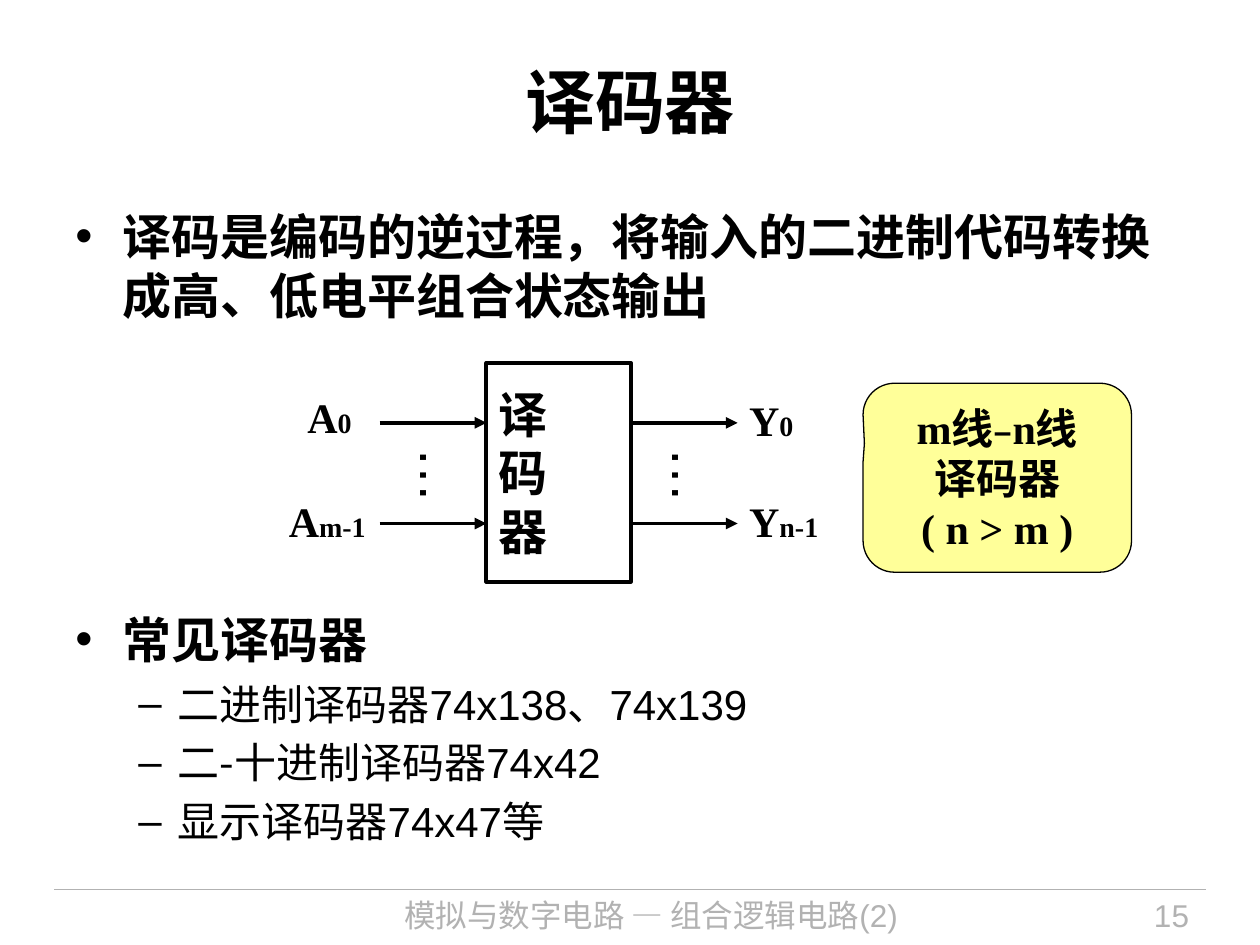
from lxml.etree import SubElement
from pptx import Presentation
from pptx.dml.color import RGBColor
from pptx.enum.shapes import MSO_CONNECTOR, MSO_SHAPE
from pptx.enum.text import MSO_ANCHOR, MSO_AUTO_SIZE, PP_ALIGN
from pptx.oxml.ns import qn
from pptx.util import Pt

BLACK, GREY, YELLOW = "000000", "B2B2B2", "FFFF99"
SANS, SERIF, CJK = "Arial", "Times New Roman", "Noto Sans CJK KR"
LEFT, CENTER, RIGHT = PP_ALIGN.LEFT, PP_ALIGN.CENTER, PP_ALIGN.RIGHT


def color(hex_string):
    return RGBColor.from_string(hex_string)


def style(font, size, name=SANS, bold=False, ink=BLACK):
    font.size, font.name, font.bold = Pt(size), name, bold
    font.color.rgb = color(ink)


def set_frame(shape, wrap=True, anchor=MSO_ANCHOR.TOP, margins=None, grow=False):
    frame = shape.text_frame
    frame.word_wrap, frame.vertical_anchor = wrap, anchor
    frame.auto_size = MSO_AUTO_SIZE.SHAPE_TO_FIT_TEXT if grow else MSO_AUTO_SIZE.NONE
    if margins:
        frame.margin_left = frame.margin_right = Pt(margins[0])
        frame.margin_top = frame.margin_bottom = Pt(margins[1])
    return frame


def write(frame, lines, align, size, name=SANS, bold=False, ink=BLACK):
    for index, line in enumerate(lines):
        paragraph = frame.add_paragraph() if index else frame.paragraphs[0]
        paragraph.text, paragraph.alignment = line, align
        style(paragraph.font, size, name, bold, ink)


def add_text(slide, box, **options):
    return set_frame(slide.shapes.add_textbox(*map(Pt, box)), **options)


def add_box(slide, kind, box, fill, width):
    shape = slide.shapes.add_shape(kind, *map(Pt, box))
    shape.shadow.inherit = False
    if fill:
        shape.fill.solid()
        shape.fill.fore_color.rgb = color(fill)
    else:
        shape.fill.background()
    shape.line.color.rgb, shape.line.width = color(BLACK), Pt(width)
    return shape


def add_line(slide, x1, x2, y, ink, width, arrow=False):
    line = slide.shapes.add_connector(
        MSO_CONNECTOR.STRAIGHT, Pt(x1), Pt(y), Pt(x2), Pt(y))
    line.line.color.rgb, line.line.width = color(ink), Pt(width)
    if arrow:
        SubElement(line.line._get_or_add_ln(), qn("a:tailEnd"), type="triangle")
    SubElement(line.element.spPr, qn("a:effectLst"))


def add_footer(slide, left, top, width):
    add_line(slide, left, left + width, top, GREY, 0.75)
    for x, box_width, text, align in (
            (148, 386, "模拟与数字电路 — 组合逻辑电路(2)", CENTER),
            (559.5, 96, "15", RIGHT)):
        frame = add_text(slide, (left + x, top, box_width, 32))
        write(frame, [text], align, 18, ink=GREY)


def add_title(slide, box):
    frame = add_text(slide, box, anchor=MSO_ANCHOR.MIDDLE)
    write(frame, ["译码器"], CENTER, 40, bold=True)


def add_body(slide, box):
    frame = add_text(slide, box)
    # Level, space after, runs with their fonts
    items = (
        (0, 163, [("译码是编码的逆过程，将输入的二进制代码转换成高、低电平组合状态输出", SANS)]),
        (0, 5.6, [("常见译码器", SANS)]),
        (1, 4.8, [("二进制译码器74x138、74x139", SANS)]),
        (1, 4.8, [("二", SANS), ("-", CJK), ("十进制译码器74x42", SANS)]),
        (1, 4.8, [("显示译码器74x47等", SANS)]),
    )
    levels = ((28, True, 27, -27, "•"), (24, False, 58.5, -22.5, "–"))
    for index, (level, space, runs) in enumerate(items):
        size, bold, margin, indent, bullet = levels[level]
        paragraph = frame.add_paragraph() if index else frame.paragraphs[0]
        paragraph.level, paragraph.space_after = level, Pt(space)
        for text, name in runs:
            run = paragraph.add_run()
            run.text = text
            style(run.font, size, name, bold)
        properties = paragraph._p.get_or_add_pPr()
        properties.set("marL", str(Pt(margin)))
        properties.set("indent", str(Pt(indent)))
        SubElement(properties, qn("a:buFont"), typeface=SANS)
        SubElement(properties, qn("a:buChar"), char=bullet)


def add_label(slide, box, letter, index):
    frame = add_text(slide, box, wrap=False, grow=True)
    for text, size in ((letter, 24), (index, 16)):
        run = frame.paragraphs[0].add_run()
        run.text = text
        style(run.font, size, SERIF, True)


def add_dots(slide, box):
    shape = slide.shapes.add_textbox(*map(Pt, box))
    frame = set_frame(shape, wrap=False, margins=(0, 0), grow=True)
    shape.element.txBody.bodyPr.set("vert", "eaVert")
    write(frame, ["…"], CENTER, 32)


def add_decoder(slide, left, top):
    # Block
    block_left, block_width = left + 120, 82.5
    block_right = block_left + block_width
    block = add_box(slide, MSO_SHAPE.RECTANGLE,
                    (block_left, top, block_width, 125), None, 2.25)
    frame = set_frame(block, wrap=False, anchor=MSO_ANCHOR.MIDDLE, margins=(7.2, 0))
    write(frame, "译码器", LEFT, 28, bold=True)

    # Input and output arrows
    for y in (34.25, 91.75):
        for start in (block_left - 61, block_right):
            add_line(slide, start, start + 61, top + y, BLACK, 2.25, arrow=True)

    # Signal names
    for x, y, width, letter, index in (
            (10.5, 12.5, 39.5, "A", "0"), (0, 72, 58.5, "A", "m-1"),
            (263, 14.5, 39.5, "Y", "0"), (263, 72, 54, "Y", "n-1")):
        add_label(slide, (left + x, top + y, width, 36), letter, index)

    for x in (76.5, 220.5):
        add_dots(slide, (left + x, top + 48.5, 38, 32))


def add_callout(slide, box):
    callout = add_box(slide, MSO_SHAPE.ROUNDED_RECTANGULAR_CALLOUT, box, YELLOW, 0.75)
    for index, value in enumerate((-0.495, -0.181, 0.167)):
        callout.adjustments[index] = value
    frame = set_frame(callout, wrap=False, anchor=MSO_ANCHOR.MIDDLE)
    write(frame, ["", "译码器", "( n > m )"], CENTER, 24, SERIF, True)
    for text, size, name in (("m线", 24, SERIF), ("–", 20, SANS), ("n线", 24, SERIF)):
        run = frame.paragraphs[0].add_run()
        run.text = text
        style(run.font, size, name, True)


presentation = Presentation()
presentation.slide_width, presentation.slide_height = Pt(720), Pt(540)
slide = presentation.slides.add_slide(presentation.slide_layouts[6])

add_footer(slide, 31, 508.3, 658)
add_title(slide, (36, 12.25, 648, 90))
add_body(slide, (36, 114.5, 648, 388))
add_callout(slide, (493.2, 219, 153.4, 108))
add_decoder(slide, 158, 207.4)
presentation.save("out.pptx")
